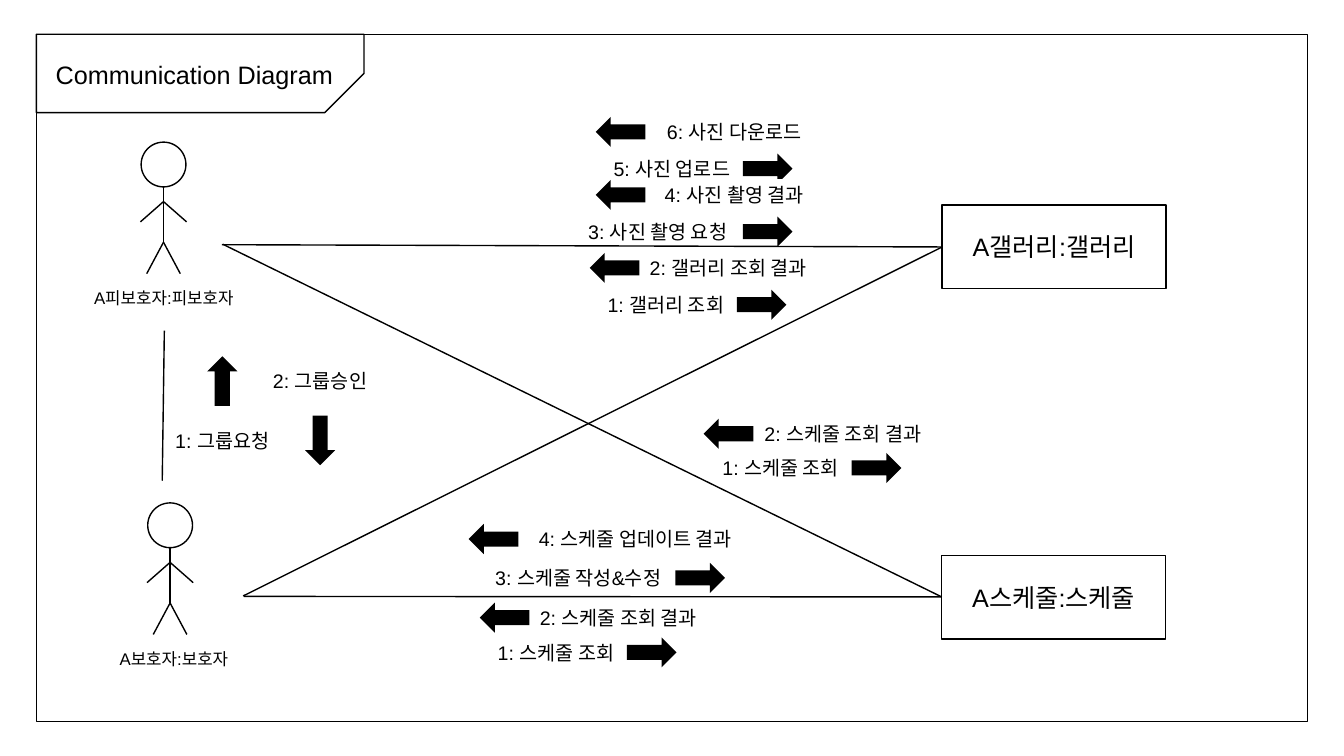
from lxml.etree import SubElement
from pptx import Presentation
from pptx.dml.color import RGBColor
from pptx.enum.shapes import MSO_CONNECTOR as Connector, MSO_SHAPE as Shape
from pptx.enum.text import MSO_ANCHOR as Anchor, PP_ALIGN as Align
from pptx.oxml.ns import qn
from pptx.util import Pt

COLORS = {"ink": "000000", "paper": "FFFFFF"}
FONT = "Arial"
TITLE = "Communication Diagram"
ROTATION = {"right": 0, "down": 90, "left": 180, "up": 270}
ARROW_WIDTH, ARROW_HEIGHT = 35.5, 21.5
LABEL_HEIGHT = {"right": 47, "left": 22.5}

# text, label left, label width, arrow left, middle, direction
MESSAGES = [
    ("1: 스케줄 조회", 487.5, 140.4, 608.4, 334.3, "right"),
    ("2: 스케줄 조회 결과", 532, 140.4, 502.6, 309.8, "left"),
    ("3: 스케줄 작성&수정", 337, 152, 482.4, 412.8, "right"),
    ("4: 스케줄 업데이트 결과", 367.2, 173.5, 334.8, 385, "left"),
    ("1: 스케줄 조회", 326.9, 140.4, 447.8, 466, "right"),
    ("2: 스케줄 조회 결과", 371.5, 140.4, 342.7, 441.2, "left"),
    ("5: 사진 업로드", 409.7, 140.4, 530.6, 120.5, "right"),
    ("6: 사진 다운로드", 454.3, 140.4, 425.5, 94.2, "left"),
    ("3: 사진 촬영 요청", 399.6, 140.4, 530.6, 165.5, "right"),
    ("4: 사진 촬영 결과", 454.3, 140.4, 425.5, 139.2, "left"),
    ("1: 갤러리 조회", 405.4, 140.4, 526.3, 217.7, "right"),
    ("2: 갤러리 조회 결과", 450, 140.4, 421.2, 191.3, "left"),
]
ACTORS = [
    ("A피보호자:피보호자", 46.8, 189.4, 116.8, 101.5),
    ("A보호자:보호자", 54, 447.1, 121.5, 359.2),
]
HEAD = 32
LIMBS = [
    (0, 32, 0, 72),
    (0, 42.5, -16.5, 57), (0, 42.5, 16.5, 57),
    (0, 71.5, -12, 94), (0, 71.5, 12, 94),
]
GROUP_LABELS = [("1: 그룹요청", 88.6, 291.6), ("2: 그룹승인", 158.4, 248.4)]
GROUP_ARROWS = [(228.6, 314.6, "down"), (158.8, 272.2, "up")]
OBJECTS = [("A갤러리:갤러리", 673, 146.4), ("A스케줄:스케줄", 672.7, 396.7)]
LINKS = [
    (115.9, 343.4, 117.4, 236.2),
    (158.4, 174.8, 673, 176.4),
    (173.7, 425.7, 673, 176.4),
    (174.2, 426, 672.7, 426.4),
    (159, 174.4, 672.7, 426.4),
]


def color(name):
    return RGBColor.from_string(COLORS[name])


def write(shape, text, size, align=Align.CENTER):
    frame = shape.text_frame
    frame.text = text
    frame.word_wrap = True
    frame.vertical_anchor = Anchor.MIDDLE
    paragraph = frame.paragraphs[0]
    paragraph.alignment = align
    font = paragraph.runs[0].font
    font.name, font.size = FONT, Pt(size)
    font.color.rgb = color("ink")


def add_shape(shapes, kind, left, top, width, height, fill=None, outlined=False):
    shape = shapes.add_shape(kind, Pt(left), Pt(top), Pt(width), Pt(height))
    shape.shadow.inherit = False
    if fill:
        shape.fill.solid()
        shape.fill.fore_color.rgb = color(fill)
    else:
        shape.fill.background()
    if outlined:
        shape.line.color.rgb = color("ink")
        shape.line.width = Pt(1)
    else:
        shape.line.fill.background()
    return shape


def add_label(text, left, top, width=140.4, height=47, size=14):
    label = add_shape(slide.shapes, Shape.RECTANGLE, left, top, width, height, "paper")
    write(label, text, size)


def add_arrow(center, middle, direction):
    arrow = add_shape(slide.shapes, Shape.RIGHT_ARROW, center - ARROW_WIDTH / 2,
                      middle - ARROW_HEIGHT / 2, ARROW_WIDTH, ARROW_HEIGHT, "ink")
    arrow.rotation = ROTATION[direction]


def add_line(shapes, *ends):
    line = shapes.add_connector(Connector.STRAIGHT, *map(Pt, ends))
    line.line.color.rgb = color("ink")
    line.line.width = Pt(1)
    SubElement(line._element.spPr, qn("a:effectLst"))


presentation = Presentation()
presentation.slide_width, presentation.slide_height = Pt(960), Pt(540)
slide = presentation.slides.add_slide(presentation.slide_layouts[5])

for text, left, width, arrow_left, middle, direction in MESSAGES:
    height = LABEL_HEIGHT[direction]
    add_label(text, left, middle - height / 2, width, height)
    add_arrow(arrow_left + ARROW_WIDTH / 2, middle, direction)

for name, left, top, center, head_top in ACTORS:
    add_label(name, left, top, size=12)
    figure = slide.shapes.add_group_shape().shapes
    add_shape(figure, Shape.OVAL, center - HEAD / 2, head_top, HEAD, HEAD, outlined=True)
    for x1, y1, x2, y2 in LIMBS:
        add_line(figure, center + x1, head_top + y1, center + x2, head_top + y2)

for text, left, top in GROUP_LABELS:
    add_label(text, left, top)
for arrow in GROUP_ARROWS:
    add_arrow(*arrow)

add_shape(slide.shapes, Shape.RECTANGLE, 26, 24.5, 908, 491, outlined=True)
tab = add_shape(slide.shapes, Shape.SNIP_1_RECTANGLE, 26, 24.5, 234, 56, outlined=True)
tab.adjustments[0] = 0.5
tab._element.spPr.xfrm.set("flipV", "1")

title = slide.shapes.title
title.left, title.top, title.width, title.height = map(Pt, (32.5, 34.5, 222, 37))
write(title, TITLE, 18, Align.LEFT)

for name, left, top in OBJECTS:
    box = add_shape(slide.shapes, Shape.RECTANGLE, left, top, 160, 59.6, outlined=True)
    write(box, name, 18)
for link in LINKS:
    add_line(slide.shapes, *link)

presentation.save("out.pptx")
